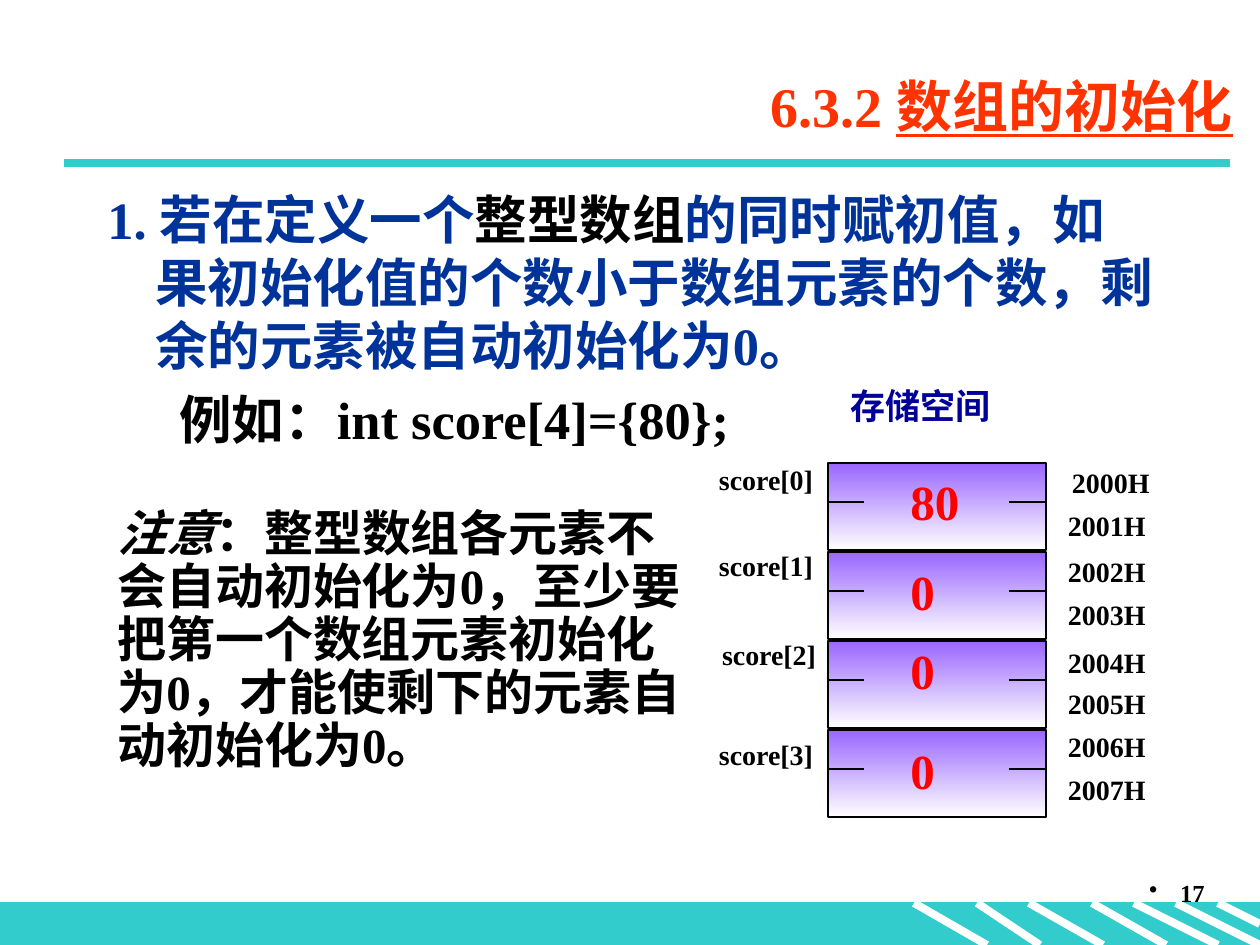
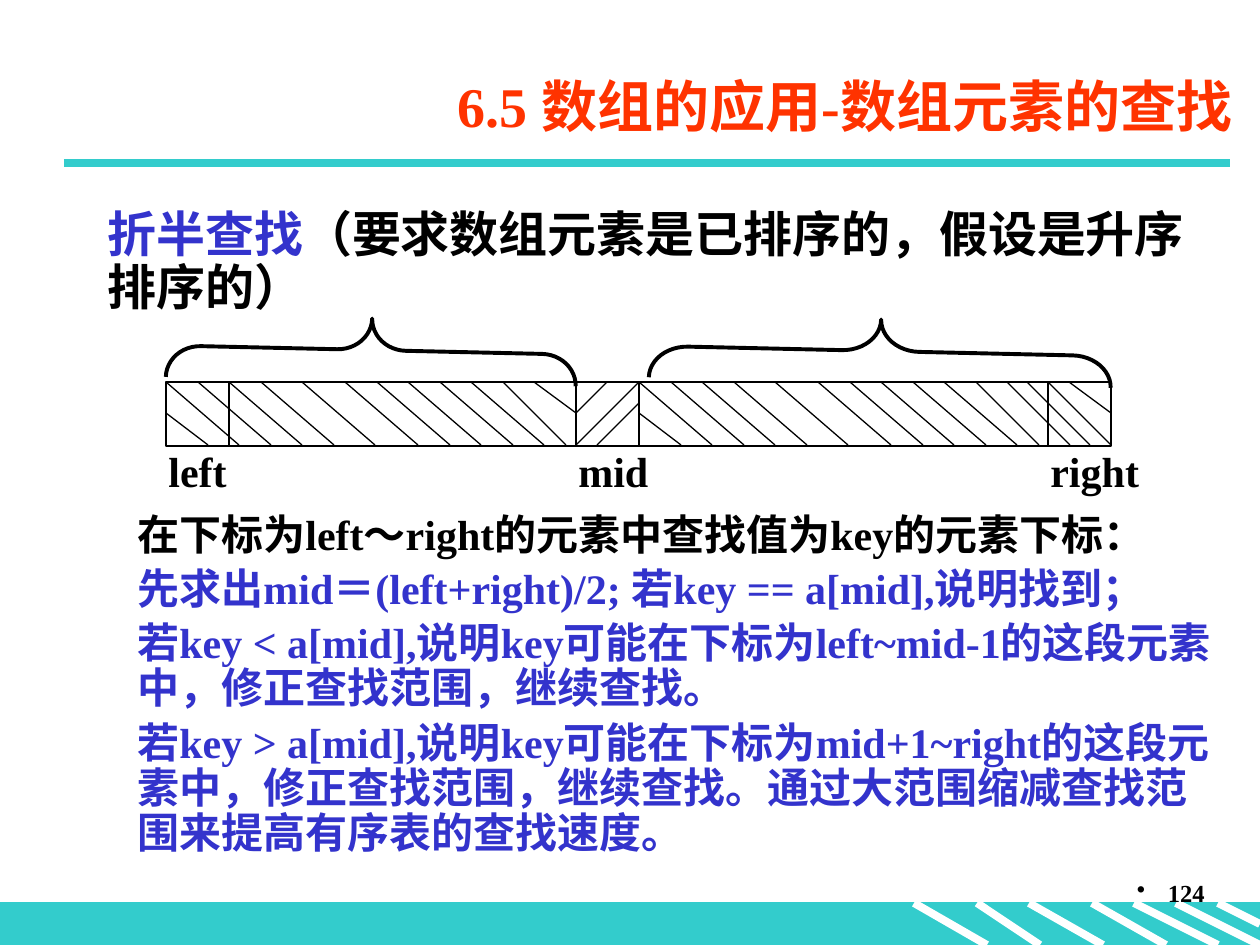
from dataclasses import dataclass
from typing import NamedTuple

from lxml.etree import SubElement
from pptx import Presentation
from pptx.dml.color import RGBColor
from pptx.enum.shapes import MSO_CONNECTOR, MSO_SHAPE
from pptx.enum.text import MSO_ANCHOR, PP_ALIGN
from pptx.oxml.ns import qn
from pptx.util import Emu, Pt

FONT = "Times New Roman"
COLORS = {
    "black": "000000",
    "white": "FFFFFF",
    "teal": "33CCCC",
    "title": "FF3300",
    "navy": "003399",
    "caption": "000099",
    "value": "FF0000",
    "violet": "9966FF",
    "indigo": "3333CC",
}


class Box(NamedTuple):
    """A rectangle in px."""

    left: int
    top: int
    width: int
    height: int


class Segment(NamedTuple):
    """A straight line in px."""

    x1: int
    y1: int
    x2: int
    y2: int


class Run(NamedTuple):
    """A stretch of text in one look."""

    text: str
    color: str = "black"
    italic: bool = False
    underline: bool = False


@dataclass
class Para:
    """A paragraph with its indents in px and its space before in points."""

    runs: list[Run]
    margin: int = 0
    indent: int = 0
    before: float = 0
    bullet: bool = False


@dataclass
class Block:
    """A text box with one size and line spacing."""

    box: Box
    paras: list[Para]
    size: int
    spacing: float = 0.9
    align: PP_ALIGN = PP_ALIGN.LEFT
    anchor: MSO_ANCHOR = MSO_ANCHOR.TOP
    tight: bool = False


PAGE = Box(0, 0, 1260, 945)
TITLE_BOX = Box(174, 55, 1071, 100)
NUMBER_BOX = Box(955, 872, 262, 63)
BAND = Box(0, 903, 1260, 42)
RULE = Segment(64, 163, 1230, 163)
STRIPES = [
    Segment(914, 903, 987, 945),
    Segment(977, 903, 1040, 945),
    Segment(1029, 903, 1103, 945),
    Segment(1092, 903, 1166, 945),
    Segment(1134, 903, 1218, 945),
    Segment(1176, 903, 1260, 945),
    Segment(1218, 903, 1260, 924),
]

CELL = Box(828, 463, 218, 87)
CELL_PITCH = 89
VALUES = [("80", 472), ("0", 562), ("0", 641), ("0", 741)]
SCORE_LABELS = [(719, 466), (719, 552), (722, 552 + 89), (719, 741)]
ADDRESS_TOPS = [469, 512, 558, 601, 649, 690, 733, 776]

BAR = Box(166, 382, 945, 64)
BAR_BOTTOM = 445
DIVIDERS = [229, 576, 639, 1048]
HALF_STARTS = [166, 639]
HATCH_OFFSETS = [0, 32, 63, 95, 136, 179, 211, 242, 274, 305]
BAR_LABELS = [("left", 156), ("mid", 566), ("right", 1038)]
BRACES = [(Box(340, 145, 63, 410), 0.545), (Box(849, 120, 63, 462), 0.615)]


def px(length: float) -> Emu:
    """Turn px into EMU."""
    return Emu(round(length * 914400 / 126))


def rgb(name: str) -> RGBColor:
    """Look up a colour."""
    return RGBColor.from_string(COLORS[name])


def draw_line(slide, segment: Segment, color: str = "black", width: float = 0.75) -> None:
    """Draw a straight line without a shadow."""
    line = slide.shapes.add_connector(MSO_CONNECTOR.STRAIGHT, *map(px, segment))
    line.line.color.rgb = rgb(color)
    line.line.width = Pt(width)
    SubElement(line._element.spPr, qn("a:effectLst"))


def draw_shape(slide, kind: MSO_SHAPE, box: Box, line: str, width: float):
    """Draw an unfilled outlined shape and return it."""
    shape = slide.shapes.add_shape(kind, *map(px, box))
    shape.shadow.inherit = False
    shape.fill.background()
    shape.line.color.rgb = rgb(line)
    shape.line.width = Pt(width)
    return shape


def draw_text(slide, block: Block) -> None:
    """Draw a text box run by run."""
    frame = slide.shapes.add_textbox(*map(px, block.box)).text_frame
    frame.word_wrap = not block.tight
    frame.vertical_anchor = block.anchor
    if block.tight:
        frame.margin_left = frame.margin_right = 0
        frame.margin_top = frame.margin_bottom = 0
    for index, para in enumerate(block.paras):
        paragraph = frame.add_paragraph() if index else frame.paragraphs[0]
        paragraph.alignment = block.align
        paragraph.line_spacing = block.spacing
        paragraph.space_before = Pt(para.before)
        props = paragraph._p.get_or_add_pPr()
        props.set("marL", str(px(para.margin)))
        props.set("indent", str(px(para.indent)))
        if para.bullet:
            SubElement(props, qn("a:buChar")).set("char", "•")
        for part in para.runs:
            run = paragraph.add_run()
            run.text = part.text
            run.font.name = FONT
            run.font.size = Pt(block.size)
            run.font.bold = True
            run.font.italic = part.italic
            run.font.underline = part.underline
            run.font.color.rgb = rgb(part.color)


def draw_label(slide, text: str, box: Box, size: int, color: str = "black", tight: bool = False) -> None:
    """Draw a one-line label."""
    draw_text(slide, Block(box, [Para([Run(text, color)])], size, tight=tight))


def start_slide(deck, title: list[Run], number: int):
    """Add a slide with the footer band, rule, page number and title."""
    slide = deck.slides.add_slide(deck.slide_layouts[6])
    band = draw_shape(slide, MSO_SHAPE.RECTANGLE, BAND, "teal", 0.75)
    band.fill.solid()
    band.fill.fore_color.rgb = rgb("teal")
    for stripe in STRIPES:
        draw_line(slide, stripe, "white", 4.5)
    draw_line(slide, RULE, "teal", 4.5)
    page_number = Para([Run(str(number))], margin=31, indent=-31, bullet=True)
    draw_text(slide, Block(NUMBER_BOX, [page_number], 14, 1.0, PP_ALIGN.RIGHT))
    draw_text(slide, Block(TITLE_BOX, [Para(title)], 32, 1.0, PP_ALIGN.RIGHT, MSO_ANCHOR.MIDDLE))
    return slide


def draw_memory(slide) -> None:
    """Draw the array cells with their names, values and addresses."""
    draw_label(slide, "存储空间", Box(838, 383, 297, 54), 20, "caption")
    for index in range(len(VALUES)):
        top = CELL.top + index * CELL_PITCH
        cell = draw_shape(slide, MSO_SHAPE.RECTANGLE, CELL._replace(top=top), "black", 1.25)
        cell.fill.gradient()
        cell.fill.gradient_angle = 270
        for stop, color in zip(cell.fill.gradient_stops, ("violet", "white")):
            stop.color.rgb = rgb(color)
        for left in (CELL.left, 1009):
            draw_line(slide, Segment(left, top + 39, left + 36, top + 39))
    for value, top in VALUES:
        draw_label(slide, value, Box(898, top, 110, 72), 28, "value")
    for index, (left, top) in enumerate(SCORE_LABELS):
        draw_label(slide, f"score[{index}]", Box(left, top, 96, 34), 16, tight=True)
    for index, top in enumerate(ADDRESS_TOPS):
        left = 1068 if index else 1072
        draw_label(slide, f"{2000 + index}H", Box(left, top, 78, 34), 16, tight=True)


def build_initialisation(deck) -> None:
    """Build the slide on array initialisation."""
    title = [Run("6.3.2 ", "title"), Run("数组的初始化", "title", underline=True)]
    slide = start_slide(deck, title, 17)
    rule = [
        Run("1. 若在定义一个", "navy"),
        Run("整型数组"),
        Run("的同时赋初值，如果初始化值的个数小于数组元素的个数，剩余的元素被自动初始化为0。", "navy"),
    ]
    example = Para([Run("例如：int score[4]={80};")], margin=72, before=6)
    paras = [Para(rule, margin=48, indent=-48), example]
    draw_text(slide, Block(Box(95, 181, 1071, 635), paras, 30, 1.0))
    draw_memory(slide)
    note = [
        Run("注意", italic=True),
        Run("：整型数组各元素不会自动初始化为0，至少要把第一个数组元素初始化为0，才能使剩下的元素自动初始化为0。"),
    ]
    draw_text(slide, Block(Box(105, 503, 595, 307), [Para(note)], 28))


def hatch_lines() -> list[Segment]:
    """Work out the dividers and hatching of the searched range."""
    top, middle, bottom = BAR.top, BAR.top + 31, BAR_BOTTOM
    lines = [Segment(x, top, x, bottom) for x in DIVIDERS]
    for start in HALF_STARTS:
        lines += [Segment(start + x, top, start + x + 73, bottom) for x in HATCH_OFFSETS]
        lines.append(Segment(start + 337, top, start + 400, bottom))
        lines.append(Segment(start, middle, start + 42, bottom))
    lines += [Segment(x, top, x + 63, bottom) for x in (1007, 1027, 1048)]
    lines += [Segment(x, top, x + 42, middle) for x in (534, 1069)]
    lines += [
        Segment(607, top, 576, middle),
        Segment(639, top, 576, bottom),
        Segment(639, 403, 597, bottom),
    ]
    return lines


def build_search(deck) -> None:
    """Build the slide on binary search."""
    slide = start_slide(deck, [Run("6.5 数组的应用-数组元素的查找", "title")], 124)
    heading = [Run("折半查找", "indigo"), Run("（要求数组元素是已排序的，假设是升序排序的）")]
    draw_text(slide, Block(Box(95, 204, 1113, 120), [Para(heading)], 28))
    draw_shape(slide, MSO_SHAPE.RECTANGLE, BAR, "black", 0.75)
    for segment in hatch_lines():
        draw_line(slide, segment)
    for box, curl in BRACES:
        brace = draw_shape(slide, MSO_SHAPE.RIGHT_BRACE, box, "black", 2.25)
        brace.rotation = 271.3
        brace.adjustments[0] = curl
        brace.adjustments[1] = 0.5
    for text, left in BAR_LABELS:
        draw_label(slide, text, Box(left, 445, 136, 63), 24)
    steps = [
        "先求出mid＝(left+right)/2; 若key == a[mid],说明找到；",
        "若key < a[mid],说明key可能在下标为left~mid-1的这段元素中，修正查找范围，继续查找。",
        "若key > a[mid],说明key可能在下标为mid+1~right的这段元素中，修正查找范围，继续查找。"
        "通过大范围缩减查找范围来提高有序表的查找速度。",
    ]
    paras = [Para([Run("在下标为left～right的元素中查找值为key的元素下标：")])]
    paras += [Para([Run(step, "indigo")], before=5) for step in steps]
    draw_text(slide, Block(Box(125, 508, 1103, 365), paras, 24))


def main() -> None:
    """Build and save the deck."""
    deck = Presentation()
    deck.slide_width = px(PAGE.width)
    deck.slide_height = px(PAGE.height)
    build_initialisation(deck)
    build_search(deck)
    deck.save("out.pptx")


if __name__ == "__main__":
    main()
